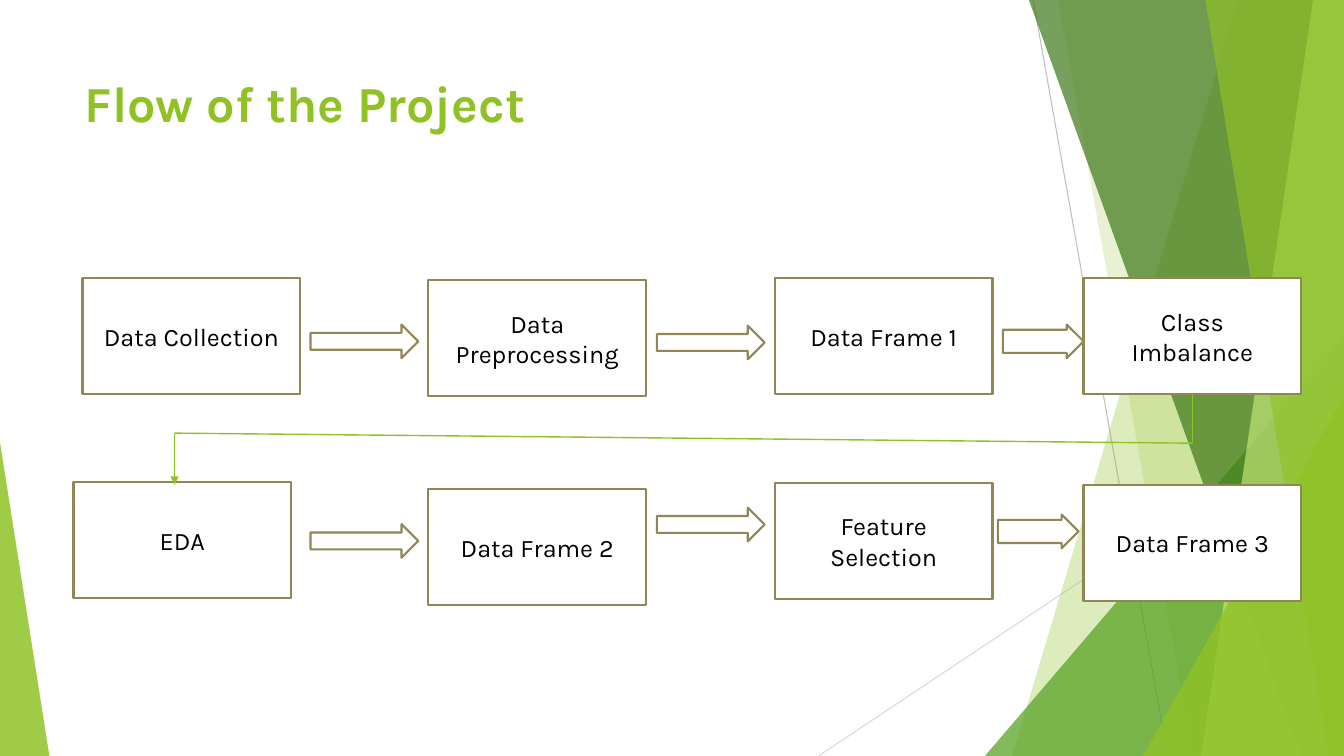
from pptx import Presentation
from pptx.dml.color import RGBColor
from pptx.enum.shapes import MSO_CONNECTOR, MSO_SHAPE
from pptx.enum.text import MSO_ANCHOR, PP_ALIGN
from pptx.oxml.ns import qn
from pptx.util import Pt
from lxml.etree import SubElement

WHITE = RGBColor(0xFF, 0xFF, 0xFF)
BLACK = RGBColor(0x00, 0x00, 0x00)
LIME = RGBColor(0x90, 0xC2, 0x26)
PALE_LIME = RGBColor(0xC0, 0xE4, 0x74)
GREEN = RGBColor(0x54, 0xA0, 0x21)
DARK_GREEN = RGBColor(0x3F, 0x78, 0x19)
OLIVE = RGBColor(0x91, 0x86, 0x55)
GRAY = RGBColor(0xBF, 0xBF, 0xBF)
LIGHT_GRAY = RGBColor(0xD9, 0xD9, 0xD9)

WIDTH, HEIGHT = 960, 540
BOX_WIDTH, BOX_HEIGHT = 155.5, 83
ARROW_HEIGHT = 24


def write(frame, text, size=18, color=BLACK, bold=False, align=PP_ALIGN.CENTER,
          anchor=MSO_ANCHOR.MIDDLE):
    """Fill a text frame, one paragraph for each line of the text."""
    frame.word_wrap = True
    frame.vertical_anchor = anchor
    for index, line in enumerate(text.split("\n")):
        para = frame.paragraphs[0] if index == 0 else frame.add_paragraph()
        para.alignment = align
        span = para.add_run()
        span.text = line
        span.font.name = "Karla"
        span.font.size = Pt(size)
        span.font.bold = bold
        span.font.color.rgb = color


class FlowPage:
    def __init__(self, page):
        self.shapes = page.shapes

    def tint(self, shape, color, opacity):
        """Give a borderless shape a see-through fill; opacity is in percent."""
        shape.shadow.inherit = False
        shape.fill.solid()
        shape.fill.fore_color.rgb = color
        shape.line.fill.background()
        tone = next(shape.element.iter(qn("a:srgbClr")))
        SubElement(tone, qn("a:alpha")).set("val", str(opacity * 1000))

    def shard(self, top_left, bottom_left, color, opacity):
        """Draw a full-height band that reaches the right edge of the page."""
        builder = self.shapes.build_freeform(Pt(top_left), Pt(0))
        corners = [(WIDTH, 0), (WIDTH, HEIGHT), (bottom_left, HEIGHT)]
        builder.add_line_segments([(Pt(x), Pt(y)) for x, y in corners], close=True)
        self.tint(builder.convert_to_shape(), color, opacity)

    def corner(self, left, top, width, apex, color, opacity):
        """Draw a triangle that stands on the bottom of the page."""
        shape = self.shapes.add_shape(MSO_SHAPE.ISOSCELES_TRIANGLE, Pt(left), Pt(top),
                                      Pt(width), Pt(HEIGHT - top))
        shape.adjustments[0] = apex
        self.tint(shape, color, opacity)

    def line(self, start, end, color, weight, head=False):
        connector = self.shapes.add_connector(
            MSO_CONNECTOR.STRAIGHT, *(Pt(value) for value in start + end))
        connector.line.color.rgb = color
        connector.line.width = Pt(weight)
        if head:
            SubElement(connector.line._get_or_add_ln(), qn("a:tailEnd")).set("type", "triangle")
        SubElement(connector.element.spPr, qn("a:effectLst"))
        return connector

    def outlined(self, kind, left, top, width, height):
        shape = self.shapes.add_shape(kind, Pt(left), Pt(top), Pt(width), Pt(height))
        shape.shadow.inherit = False
        shape.fill.solid()
        shape.fill.fore_color.rgb = WHITE
        shape.line.color.rgb = OLIVE
        shape.line.width = Pt(1.5)
        return shape

    def step(self, text, left, top):
        box = self.outlined(MSO_SHAPE.RECTANGLE, left, top, BOX_WIDTH, BOX_HEIGHT)
        write(box.text_frame, text)
        return box

    def arrow(self, left, top, width, shaft):
        shape = self.outlined(MSO_SHAPE.RIGHT_ARROW, left, top, width, ARROW_HEIGHT)
        shape.adjustments[0] = shaft
        shape.adjustments[1] = 0.5

    def title(self, text):
        box = self.shapes.add_textbox(Pt(53.3), Pt(48.2), Pt(677), Pt(104))
        write(box.text_frame, text, size=36, color=LIME, bold=True,
              align=PP_ALIGN.LEFT, anchor=MSO_ANCHOR.TOP)


def draw_backdrop(flow):
    flow.line((738, 0), (834, HEIGHT), GRAY, 0.75)
    flow.line((WIDTH, 290), (584.6, HEIGHT), LIGHT_GRAY, 0.75)
    flow.shard(884, 723, LIME, 30)
    flow.shard(756, 852, LIME, 20)
    flow.corner(703.5, 240, 256.5, 1, GREEN, 72)
    flow.shard(735, 929.5, DARK_GREEN, 70)
    flow.shard(938, 858, PALE_LIME, 70)
    flow.shard(861, 949, LIME, 65)
    flow.corner(816.5, 283, 143.5, 1, LIME, 80)
    flow.corner(0, 316, 35.3, 0, LIME, 85)


def draw_steps(flow):
    steps = [
        ("Data Collection", 59, 198.7),
        ("Data\nPreprocessing", 306, 200.2),
        ("Data Frame 1", 553.5, 198.7),
        ("Class\nImbalance", 774, 198.7),
        ("EDA", 52.5, 344.2),
        ("Data Frame 2", 306, 349.2),
        ("Feature\nSelection", 553.5, 344.9),
        ("Data Frame 3", 774, 346.3),
    ]
    boxes = {text: flow.step(text, left, top) for text, left, top in steps}

    long_arrow, short_arrow = (77, 0.5), (57.6, 0.69)
    arrows = [
        (221.8, 231.8, long_arrow), (469.2, 232.6, long_arrow), (716.4, 231.8, short_arrow),
        (221.8, 374.4, long_arrow), (469.2, 362.6, long_arrow), (712.8, 367.6, short_arrow),
    ]
    for left, top, form in arrows:
        flow.arrow(left, top, *form)

    turn_right, turn_left = (851.75, 316.6), (124.7, 309.4)
    drop = flow.line((851.75, 281.7), turn_right, LIME, 1)
    drop.begin_connect(boxes["Class\nImbalance"], 2)
    flow.line(turn_right, turn_left, LIME, 1)
    flow.line(turn_left, (124.7, 346.3), LIME, 1, head=True)


def main():
    deck = Presentation()
    deck.slide_width, deck.slide_height = Pt(WIDTH), Pt(HEIGHT)
    flow = FlowPage(deck.slides.add_slide(deck.slide_layouts[6]))
    draw_backdrop(flow)
    flow.title("Flow of the Project")
    draw_steps(flow)
    deck.save("out.pptx")


if __name__ == "__main__":
    main()
